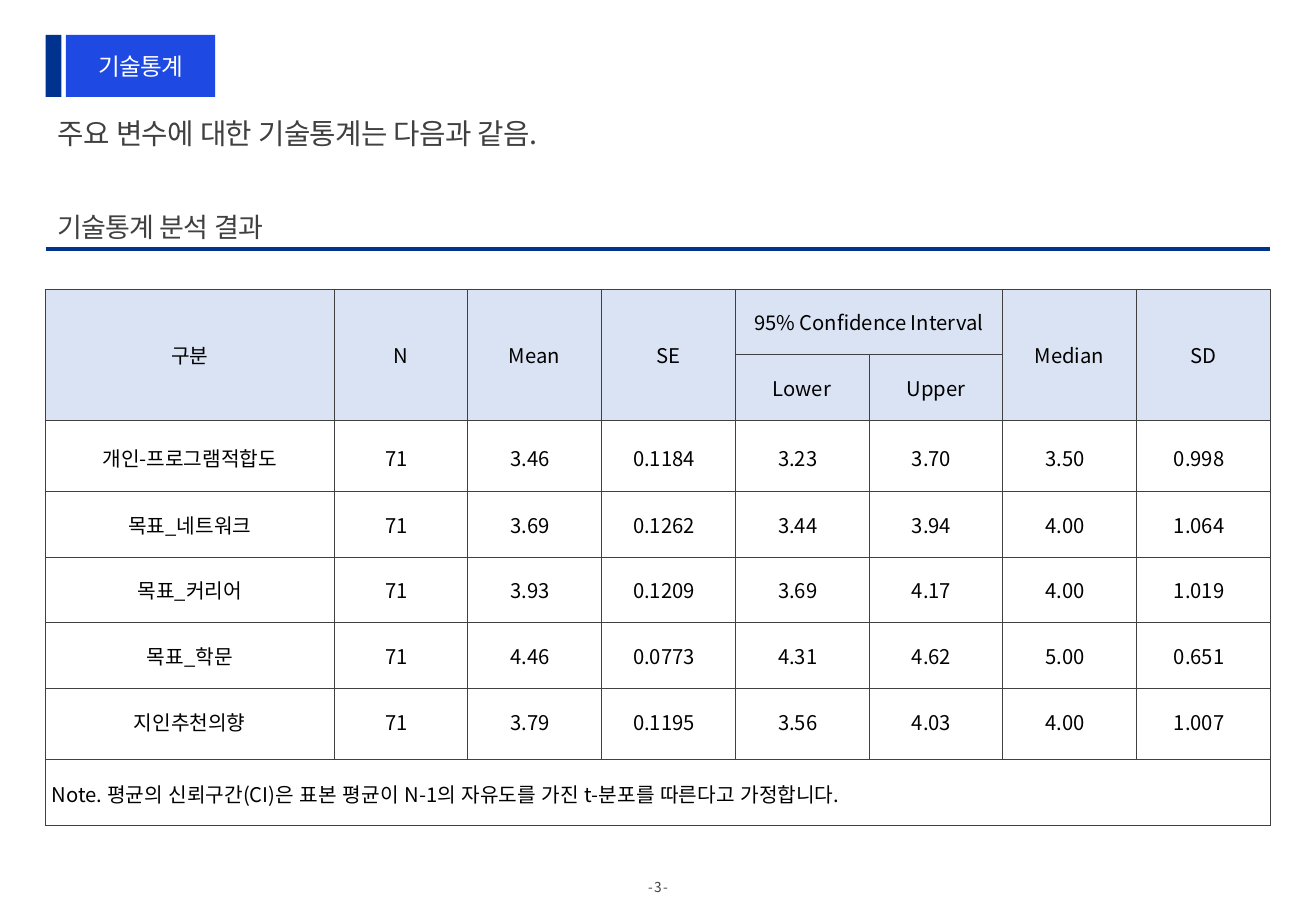
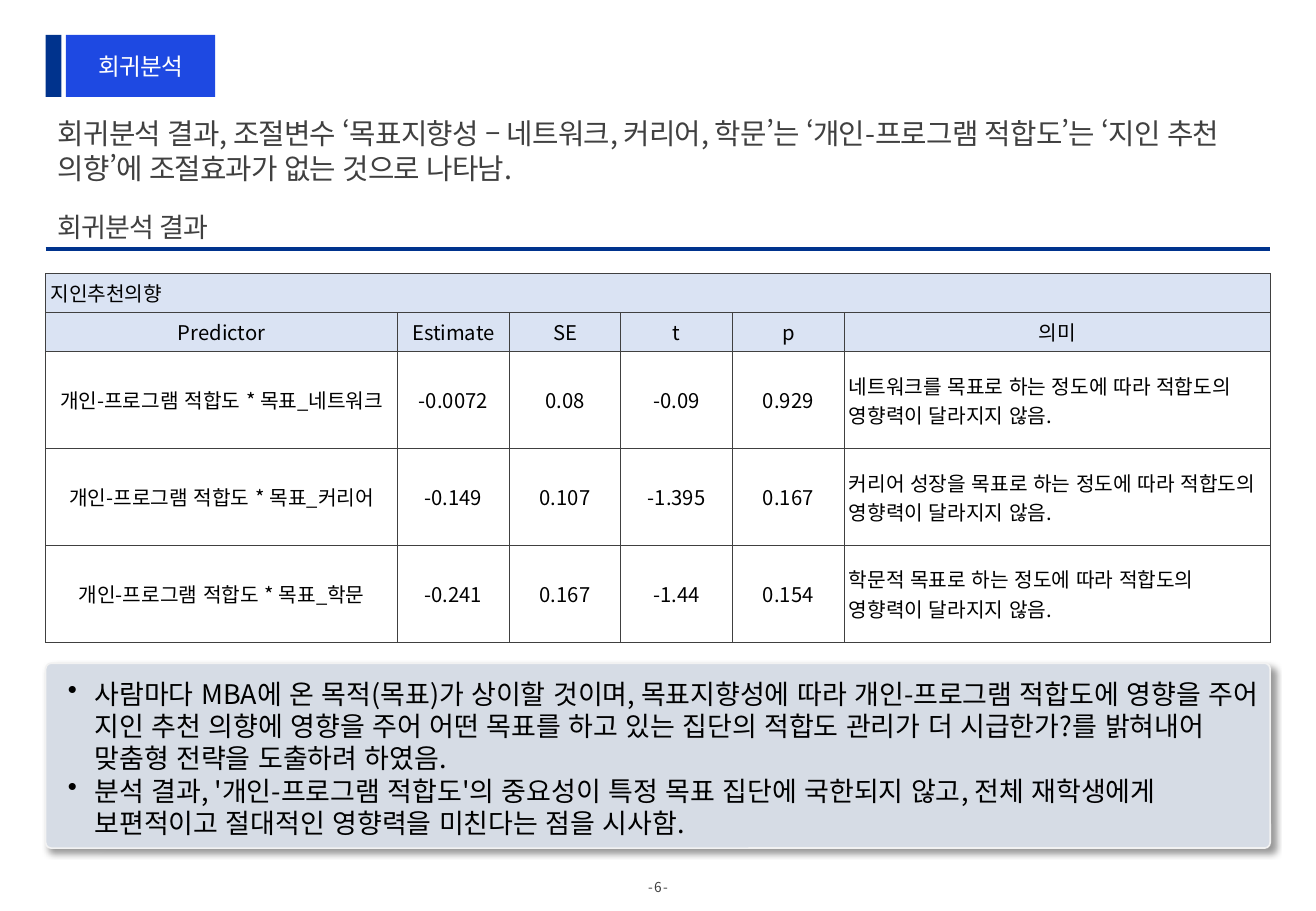
from dataclasses import dataclass

from lxml import etree
from pptx import Presentation
from pptx.dml.color import RGBColor
from pptx.enum.lang import MSO_LANGUAGE_ID
from pptx.enum.shapes import MSO_CONNECTOR, MSO_SHAPE
from pptx.enum.text import MSO_ANCHOR, MSO_AUTO_SIZE, PP_ALIGN
from pptx.oxml.ns import qn
from pptx.util import Inches, Pt

RECT, ROUND = MSO_SHAPE.RECTANGLE, MSO_SHAPE.ROUNDED_RECTANGLE
LINE = MSO_CONNECTOR.STRAIGHT
LEFT, MID = PP_ALIGN.LEFT, PP_ALIGN.CENTER
TOP, CENTER = MSO_ANCHOR.TOP, MSO_ANCHOR.MIDDLE
FIXED = MSO_AUTO_SIZE.NONE
KOREAN = MSO_LANGUAGE_ID.KOREAN
TITLE_ONLY = 5
WIDE, HIGH = Inches(10.83), Inches(7.5)
EDGE, SPAN = 3.47, 93.05  # left margin and content width, percent of slide width


@dataclass(frozen=True)
class Theme:
    font: str = "Noto Sans CJK KR"
    navy: str = "00338D"
    blue: str = "1E49E2"
    pale: str = "DAE3F3"
    panel: str = "D6DCE5"
    rim: str = "F2F2F2"
    gray: str = "404040"
    black: str = "000000"
    white: str = "FFFFFF"
    head: float = 17
    sub: float = 16
    tag: float = 14
    cell: float = 12
    page: float = 8.1
    tight: int = -50


def color(code):
    return RGBColor.from_string(code)


def add(parent, tag, **attrs):
    node = etree.SubElement(parent, qn(tag))
    for key, val in attrs.items():
        node.set(key, str(val))
    return node


def place(x, y, w, h):
    """Turn percentages of the slide's size into lengths."""
    return [int(side * part / 100)
            for side, part in zip((WIDE, HIGH, WIDE, HIGH), (x, y, w, h))]


def split(total, parts):
    """Share a length out in proportion to the given weights."""
    return [int(total * part / sum(parts)) for part in parts]


class Deck:
    def __init__(self, theme):
        self.theme = theme
        self.prs = Presentation()
        self.prs.slide_width, self.prs.slide_height = WIDE, HIGH
        self.slide = None

    def style(self, frame, size, ink, align=LEFT, anchor=TOP, pads=None, tight=True):
        """Format a filled text frame; pads are left, top, right, bottom inches."""
        frame.word_wrap = True
        frame.auto_size = FIXED
        frame.vertical_anchor = anchor
        left, top, right, low = pads or (0.1, 0.05, 0.1, 0.05)
        frame.margin_left, frame.margin_top = Inches(left), Inches(top)
        frame.margin_right, frame.margin_bottom = Inches(right), Inches(low)
        for para in frame.paragraphs:
            self.ink(para, size, ink, align, tight)

    def ink(self, para, size, ink, align, tight=False):
        para.alignment = align
        for run in para.runs:
            font = run.font
            font.name, font.size = self.theme.font, Pt(size)
            font.language_id = KOREAN
            font.color.rgb = color(ink)
            props = run._r.get_or_add_rPr()
            add(props, "a:ea", typeface=self.theme.font)
            if tight:
                props.set("spc", str(self.theme.tight))

    def label(self, box, text, size, **look):
        frame = self.slide.shapes.add_textbox(*place(*box)).text_frame
        frame.text = text
        self.style(frame, size, self.theme.gray, **look)

    def block(self, kind, box, fill):
        shape = self.slide.shapes.add_shape(kind, *place(*box))
        shape.shadow.inherit = False
        shape.fill.solid()
        shape.fill.fore_color.rgb = color(fill)
        shape.line.fill.background()
        return shape

    def rule(self, y):
        x, top, w, _ = place(EDGE, y, SPAN, 0)
        line = self.slide.shapes.add_connector(LINE, x, top, x + w, top)
        line.line.color.rgb = color(self.theme.navy)
        line.line.width = Pt(2.25)
        add(line._element.spPr, "a:effectLst")

    def page(self, num, tag, head, sub):
        """Start a slide with its tag, headline, section name and number."""
        th = self.theme
        self.slide = self.prs.slides.add_slide(self.prs.slide_layouts[TITLE_ONLY])
        title = self.slide.shapes.title
        title.left, title.top, title.width, title.height = place(EDGE, 12.1, SPAN, 8.4)
        title.text_frame.text = head
        self.style(title.text_frame, th.head, th.gray)
        self.block(RECT, (EDGE, 3.83, 1.2, 6.8), th.navy)
        frame = self.block(RECT, (5, 3.83, 11.36, 6.8), th.blue).text_frame
        frame.text = tag
        self.style(frame, th.tag, th.white, MID, CENTER, (0, 0, 0, 0))
        self.label((EDGE, 22.4, 45, 4.9), sub, th.sub)
        self.rule(27.3)
        self.label((47.8, 94.7, 4.4, 5.3), f"- {num} -", th.page,
                   align=MID, anchor=CENTER)

    def table(self, top, high, cols, rows, data, spans, look):
        """Draw data; look(row, col) gives alignment and cell margins."""
        box = place(EDGE, top, SPAN, high)
        grid = self.slide.shapes.add_table(len(rows), len(cols), *box).table
        grid.first_row = grid.horz_banding = False
        for col, w in zip(grid.columns, split(box[2], cols)):
            col.width = w
        for row, h in zip(grid.rows, split(box[3], rows)):
            row.height = h
        for r, line in enumerate(data):
            for c, text in enumerate(line):
                self.cell(grid.cell(r, c), text, r < 2, *look(r, c))
        for r, c, end, last in spans:
            grid.cell(r, c).merge(grid.cell(end, last))

    def cell(self, cell, text, head, align, pads):
        th = self.theme
        props = cell._tc.get_or_add_tcPr()
        for side in "LRTB":
            edge = add(props, f"a:ln{side}", w=Pt(0.5))
            add(add(edge, "a:solidFill"), "a:srgbClr", val=th.gray)
        if head:
            cell.fill.solid()
            cell.fill.fore_color.rgb = color(th.pale)
        else:
            cell.fill.background()
        cell.vertical_anchor = CENTER
        (cell.margin_left, cell.margin_top,
         cell.margin_right, cell.margin_bottom) = map(Inches, pads)
        if text:
            cell.text_frame.text = text
            self.ink(cell.text_frame.paragraphs[0], th.cell, th.black, align)

    def notes(self, box, items):
        """Draw a shadowed panel of bullets."""
        th = self.theme
        panel = self.block(ROUND, box, th.panel)
        panel.adjustments[0] = 0.03
        panel.line.color.rgb = color(th.rim)
        panel.line.width = Pt(1)
        glow = add(panel._element.spPr.find(qn("a:effectLst")), "a:outerShdw",
                   blurRad=Pt(4), dist=Pt(3), dir=45 * 60000, algn="tl", rotWithShape=0)
        add(add(glow, "a:srgbClr", val=th.black), "a:alpha", val=40000)
        frame = panel.text_frame
        frame.text = "\n".join(items)
        for para in frame.paragraphs:
            props = para._p.get_or_add_pPr()
            props.set("marL", str(Inches(0.31)))
            props.set("indent", str(Inches(-0.22)))
            add(props, "a:buChar", char="•")
        self.style(frame, th.sub, th.black, LEFT, CENTER,
                   (0.08, 0.08, 0.08, 0.04), tight=False)


STATS = [
    ["구분", "N", "Mean", "SE", "95% Confidence Interval", None, "Median", "SD"],
    [None, None, None, None, "Lower", "Upper", None, None],
    ["개인-프로그램적합도", "71", "3.46", "0.1184", "3.23", "3.70", "3.50", "0.998"],
    ["목표_네트워크", "71", "3.69", "0.1262", "3.44", "3.94", "4.00", "1.064"],
    ["목표_커리어", "71", "3.93", "0.1209", "3.69", "4.17", "4.00", "1.019"],
    ["목표_학문", "71", "4.46", "0.0773", "4.31", "4.62", "5.00", "0.651"],
    ["지인추천의향", "71", "3.79", "0.1195", "3.56", "4.03", "4.00", "1.007"],
    ["Note. 평균의 신뢰구간(CI)은 표본 평균이 N-1의 자유도를 가진 "
     "t-분포를 따른다고 가정합니다."] + [None] * 7,
]
MODEL = [
    ["지인추천의향"] + [None] * 5,
    ["Predictor", "Estimate", "SE", "t", "p", "의미"],
    ["개인-프로그램 적합도 * 목표_네트워크", "-0.0072", "0.08", "-0.09", "0.929",
     "네트워크를 목표로 하는 정도에 따라 적합도의 영향력이 달라지지 않음."],
    ["개인-프로그램 적합도 * 목표_커리어", "-0.149", "0.107", "-1.395", "0.167",
     "커리어 성장을 목표로 하는 정도에 따라 적합도의 영향력이 달라지지 않음."],
    ["개인-프로그램 적합도 * 목표_학문", "-0.241", "0.167", "-1.44", "0.154",
     "학문적 목표로 하는 정도에 따라 적합도의 영향력이 달라지지 않음."],
]
POINTS = [
    "사람마다 MBA에 온 목적(목표)가 상이할 것이며, 목표지향성에 따라 개인-프로그램 "
    "적합도에 영향을 주어 지인 추천 의향에 영향을 주어 어떤 목표를 하고 있는 집단의 "
    "적합도 관리가 더 시급한가?를 밝혀내어 맞춤형 전략을 도출하려 하였음.",
    "분석 결과, '개인-프로그램 적합도'의 중요성이 특정 목표 집단에 국한되지 않고, "
    "전체 재학생에게 보편적이고 절대적인 영향력을 미친다는 점을 시사함.",
]


def stat_look(r, c):
    if r == 7:
        return LEFT, (0.05, 0.04, 0.05, 0.01)
    right = 0.12 if r > 1 and c else 0.05
    return MID, (0.05, 0.05 if r == 2 else 0.02, right, 0.05 if r == 6 else 0.02)


def model_look(r, c):
    return LEFT if r == 0 or (r > 1 and c == 5) else MID, (0.04,) * 4


def main():
    deck = Deck(Theme())
    deck.page(3, "기술통계", "주요 변수에 대한 기술통계는 다음과 같음.", "기술통계 분석 결과")
    tall = [(0, c, 1, c) for c in (0, 1, 2, 3, 6, 7)]
    deck.table(31.77, 58.8, [2.37] + [1.1] * 7,
               [0.54, 0.54, 0.59, 0.54, 0.54, 0.54, 0.59, 0.54],
               STATS, tall + [(0, 4, 0, 5), (7, 0, 7, 7)], stat_look)
    deck.page(6, "회귀분석",
              "회귀분석 결과, 조절변수 ‘목표지향성 – 네트워크, 커리어, 학문’는 "
              "‘개인-프로그램 적합도’는 ‘지인 추천 의향’에 조절효과가 없는 것으로 나타남.",
              "회귀분석 결과")
    deck.table(30.02, 40.4, [2.9] + [0.92] * 4 + [3.51], [0.32] * 2 + [0.8] * 3,
               MODEL, [(0, 0, 0, 5)], model_look)
    deck.notes((EDGE, 72.8, SPAN, 20.3), POINTS)
    deck.prs.save("out.pptx")


if __name__ == "__main__":
    main()
